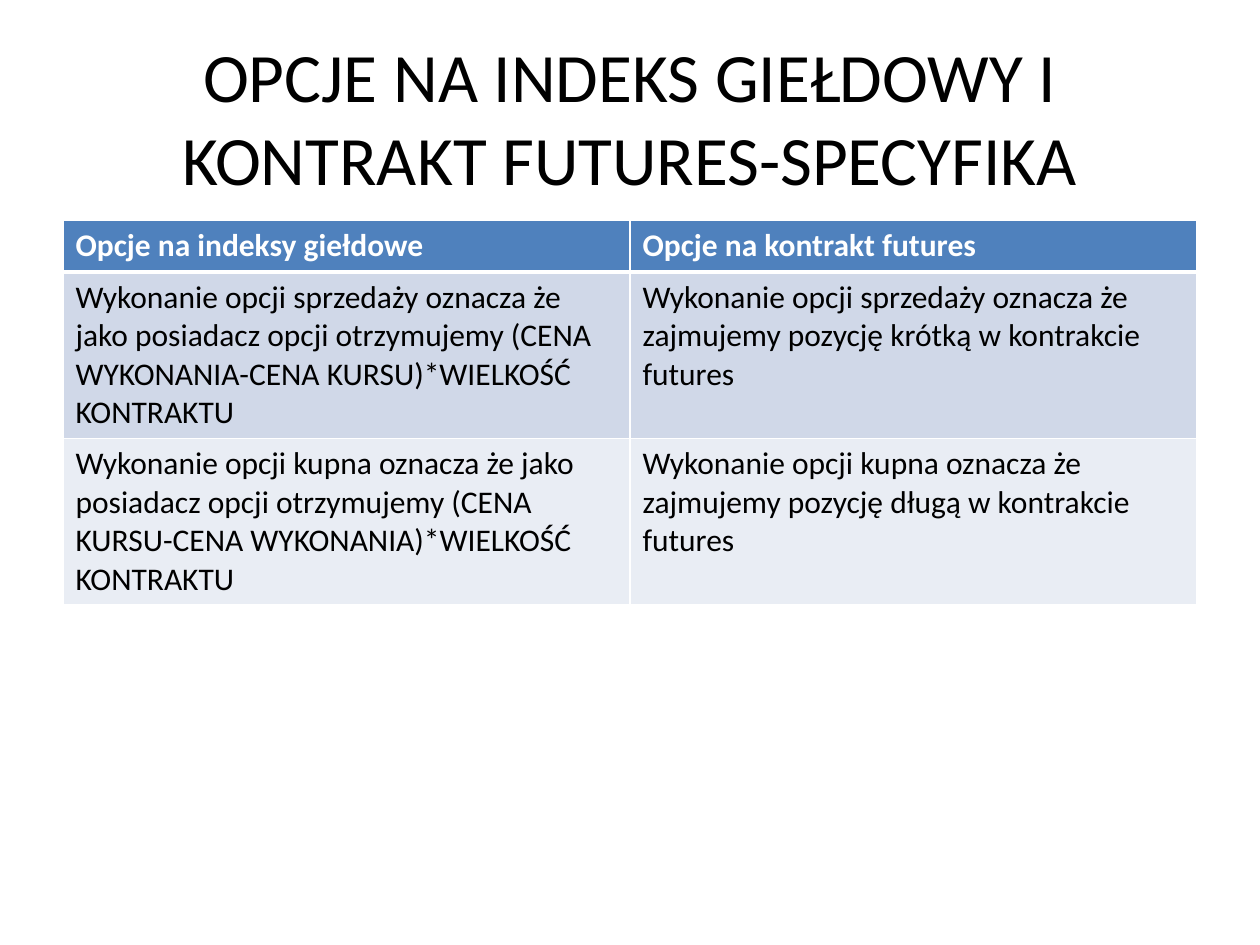
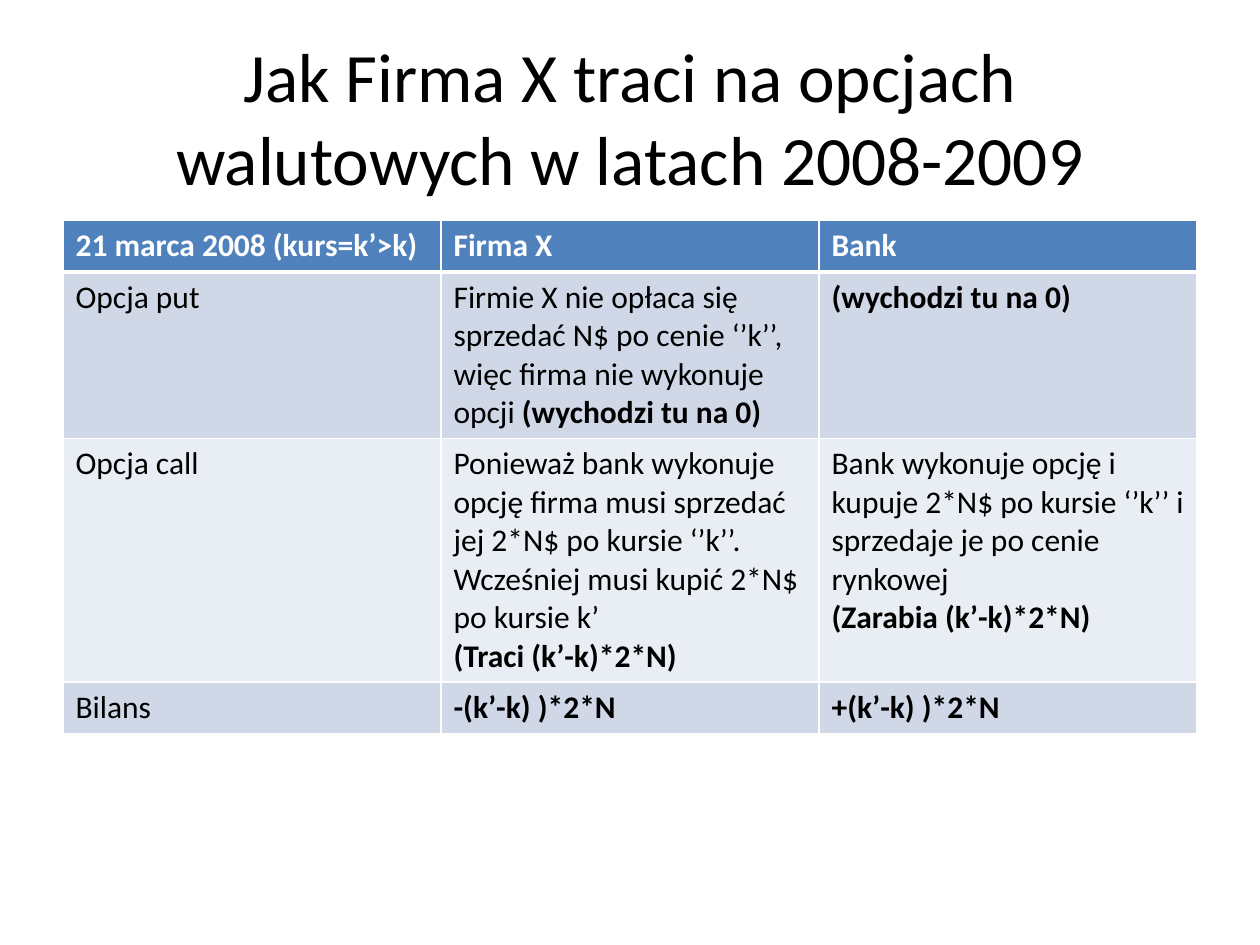
from lxml.etree import SubElement as Sub
from pptx import Presentation as Deck
from pptx.dml.color import RGBColor as Rgb
from pptx.enum.text import MSO_ANCHOR as Anchor, PP_ALIGN as Align
from pptx.oxml.ns import qn
from pptx.util import Inches, Pt

WIDE, HIGH = Inches(10), Inches(7.5)
EDGE, SPAN = 0.05, 0.9
ROW = Inches(0.41)
HUES = {
    "page": "FFFFFF",
    "text": "000000",
    "head": "4F81BD",
    "odd": "D0D8E8",
    "even": "E9EDF4",
}
TITLE = {"name": "Calibri", "size": Pt(39.6), "bold": False}
CELL = {"name": "Calibri", "size": Pt(18)}

INDEX = [
    ["Opcje na indeksy giełdowe", "Opcje na kontrakt futures"],
    [
        "Wykonanie opcji sprzedaży oznacza że jako posiadacz opcji otrzymujemy "
        "(CENA WYKONANIA-CENA KURSU)*WIELKOŚĆ KONTRAKTU",
        "Wykonanie opcji sprzedaży oznacza że zajmujemy pozycję krótką "
        "w kontrakcie futures",
    ],
    [
        "Wykonanie opcji kupna oznacza że jako posiadacz opcji otrzymujemy "
        "(CENA KURSU-CENA WYKONANIA)*WIELKOŚĆ KONTRAKTU",
        "Wykonanie opcji kupna oznacza że zajmujemy pozycję długą "
        "w kontrakcie futures",
    ],
]
LOSS = [
    ["21 marca 2008 (kurs=k’>k)", "Firma X", "Bank"],
    [
        "Opcja put",
        "Firmie X nie opłaca się sprzedać N$ po cenie ‘’k’’, "
        "więc firma nie wykonuje opcji |(wychodzi tu na 0)|",
        "|(wychodzi tu na 0)|",
    ],
    [
        "Opcja call",
        "Ponieważ bank wykonuje opcję firma musi sprzedać jej 2*N$ po kursie "
        "‘’k’’. Wcześniej musi kupić 2*N$ po kursie k’\n|(Traci (k’-k)*2*N)|",
        "Bank wykonuje opcję i kupuje 2*N$ po kursie ‘’k’’ i sprzedaje je "
        "po cenie rynkowej\n|(Zarabia (k’-k)*2*N)|",
    ],
    ["Bilans", "|-(k’-k) )*2*N|", "|+(k’-k) )*2*N|"],
]


def style(font, look, hue):
    """Give a font its format values and colour."""
    for key, value in look.items():
        setattr(font, key, value)
    font.color.rgb = Rgb.from_string(HUES[hue])


def add_title(slide, text):
    """Fill and place the title placeholder."""
    box = slide.shapes.title
    box.left, box.top = int(WIDE * EDGE), int(HIGH * 0.04)
    box.width, box.height = int(WIDE * SPAN), Inches(1.25)
    frame = box.text_frame
    frame.text = text
    frame.vertical_anchor = Anchor.MIDDLE
    para = frame.paragraphs[0]
    para.alignment = Align.CENTER
    style(para.runs[0].font, TITLE, "text")


def write(cell, text, head):
    """Write lines into a cell, with bold parts between bars."""
    frame = cell.text_frame
    for num, line in enumerate(text.split("\n")):
        para = frame.add_paragraph() if num else frame.paragraphs[0]
        for part, words in enumerate(line.split("|")):
            if words:
                run = para.add_run()
                run.text = words
                look = {**CELL, "bold": head or part % 2 == 1}
                style(run.font, look, "page" if head else "text")


def border(cell, row):
    """Draw white cell borders, thick below the header."""
    props = cell._tc.get_or_add_tcPr()
    thick = {"T": row == 1, "B": row == 0}
    for side in "LRTB":
        width = Pt(3 if thick.get(side) else 1)
        line = Sub(props, qn(f"a:ln{side}"), w=str(width))
        fill = Sub(line, qn("a:solidFill"))
        Sub(fill, qn("a:srgbClr"), val=HUES["page"])


def add_grid(slide, rows):
    """Add a banded table with equal columns."""
    cols = len(rows[0])
    grid = slide.shapes.add_table(
        len(rows), cols, int(WIDE * EDGE), Inches(1.75),
        int(WIDE * SPAN), ROW * len(rows),
    ).table
    for num, row in enumerate(rows):
        band = "odd" if num % 2 else "even"
        hue = band if num else "head"
        for col, text in enumerate(row):
            cell = grid.cell(num, col)
            border(cell, num)
            cell.fill.solid()
            cell.fill.fore_color.rgb = Rgb.from_string(HUES[hue])
            write(cell, text, num == 0)


def add_page(deck, title, rows):
    """Add one slide with a title and a table."""
    slide = deck.slides.add_slide(deck.slide_layouts[5])
    add_title(slide, title)
    add_grid(slide, rows)


def main():
    """Build and save the deck."""
    deck = Deck()
    deck.slide_width, deck.slide_height = WIDE, HIGH
    add_page(deck, "OPCJE NA INDEKS GIEŁDOWY I KONTRAKT FUTURES-SPECYFIKA", INDEX)
    add_page(deck, "Jak Firma X traci na opcjach walutowych w latach 2008-2009", LOSS)
    deck.save("out.pptx")


if __name__ == "__main__":
    main()
